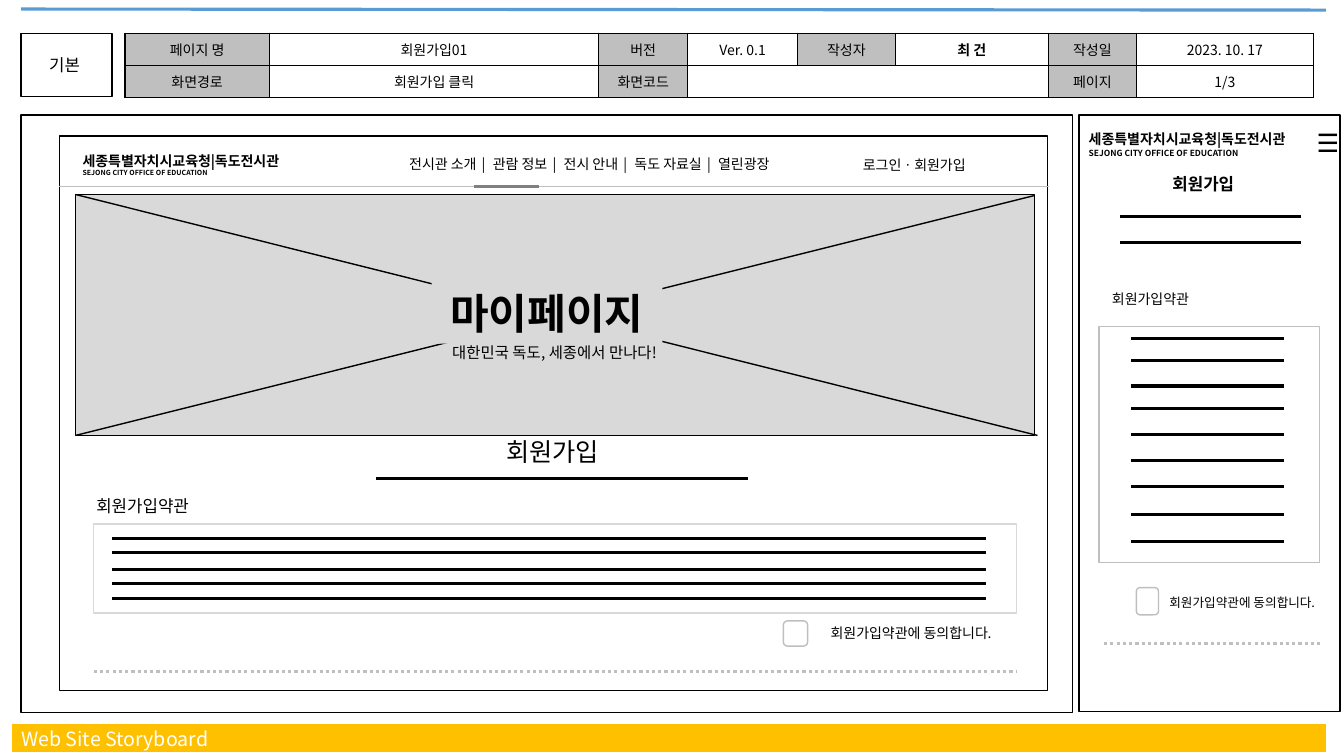
"""Build a web storyboard slide for the sign-up page, desktop and mobile."""
from lxml import etree
from pptx import Presentation
from pptx.dml.color import RGBColor
from pptx.enum.dml import MSO_LINE
from pptx.enum.shapes import MSO_CONNECTOR, MSO_SHAPE
from pptx.enum.text import MSO_ANCHOR, MSO_AUTO_SIZE, PP_ALIGN
from pptx.oxml.ns import qn
from pptx.util import Inches, Pt

RECT, ROUND = MSO_SHAPE.RECTANGLE, MSO_SHAPE.ROUNDED_RECTANGLE
LEFT, CENTER = PP_ALIGN.LEFT, PP_ALIGN.CENTER
MIDDLE, GROW, NO_GROW = MSO_ANCHOR.MIDDLE, MSO_AUTO_SIZE.SHAPE_TO_FIT_TEXT, MSO_AUTO_SIZE.NONE
STRAIGHT, DOT = MSO_CONNECTOR.STRAIGHT, MSO_LINE.ROUND_DOT

THEME = {
    "font": "Noto Sans CJK KR",
    "black": RGBColor(0x00, 0x00, 0x00), "white": RGBColor(0xFF, 0xFF, 0xFF),
    "hero": RGBColor(0xD9, 0xD9, 0xD9), "gray": RGBColor(0xBF, 0xBF, 0xBF),
    "dark": RGBColor(0x80, 0x80, 0x80), "blue": RGBColor(0x5B, 0x9B, 0xD5),
    "gold": RGBColor(0xFF, 0xC0, 0x00),
    "display": 30, "heading": 18, "footer": 14, "section": 12, "lead": 11,
    "body": 10, "small": 9, "mobile_sub": 6, "desktop_sub": 5,
}


def add_run(p, text, size="body", color="black", bold=False):
    r = p.add_run()
    r.text = text
    r.font.size, r.font.bold = Pt(THEME[size]), bold
    r.font.color.rgb = THEME[color]
    r.font.name = THEME["font"]
    etree.SubElement(r._r.get_or_add_rPr(), qn("a:ea"), typeface=THEME["font"])
    return r


def add_box(x, y, w, h, align=LEFT):
    tf = s.shapes.add_textbox(Inches(x), Inches(y), Inches(w), Inches(h)).text_frame
    tf.word_wrap, tf.auto_size = True, GROW
    tf.paragraphs[0].alignment = align
    return tf


prs = Presentation()
prs.slide_width, prs.slide_height = Inches(13.33), Inches(7.5)
s = prs.slides.add_slide(prs.slide_layouts[5])

rects = [
    (RECT, 0.21, 1.14, 10.43, 5.93, "white", "black"),
    (RECT, 0.21, 0.33, 0.9, 0.63, "white", "black"),
    (RECT, 0.59, 1.35, 9.8, 5.5, "white", "black"),
    (RECT, 0.75, 1.93, 9.51, 2.39, "hero", "black"),
    (RECT, 0.93, 5.2, 9.15, 0.88, None, "hero"),
    (ROUND, 7.77, 6.16, 0.24, 0.25, None, "gray"),
    (RECT, 10.7, 1.14, 2.59, 5.92, "white", "black"),
    (RECT, 10.9, 3.24, 2.19, 2.34, None, "gray"),
    (ROUND, 11.27, 5.83, 0.22, 0.27, None, "gray"),
]
for kind, x, y, w, h, fill, line in rects:
    sp = s.shapes.add_shape(kind, Inches(x), Inches(y), Inches(w), Inches(h))
    sp.shadow.inherit = False
    if fill:
        sp.fill.solid()
        sp.fill.fore_color.rgb = THEME[fill]
    else:
        sp.fill.background()
    sp.line.color.rgb, sp.line.width = THEME[line], Pt(1)

lines = [
    (0.21, 0.09, 13.15, 0.1, "blue", 2.25, None),
    (0.12, 7.32, 13.15, 7.32, "gold", 20, None),
    (0.75, 1.93, 10.29, 4.32, "black", 1, None),
    (0.75, 4.32, 10.26, 1.94, "black", 1, None),
    (0.59, 1.85, 10.4, 1.85, "gray", 0.5, None),
    (4.7, 1.85, 5.35, 1.85, "dark", 2.25, None),
    (3.73, 4.75, 7.42, 4.75, "black", 2.25, None),
    (0.93, 6.66, 10.09, 6.66, "gray", 2.25, DOT),
    (10.95, 6.38, 13.12, 6.38, "gray", 2.25, DOT),
]
placeholder_text = [
    (1.11, 9.78, [5.34, 5.48, 5.65, 5.79, 5.94]),
    (11.11, 12.9, [2.15, 2.41]),
    (11.22, 12.74, [3.36, 3.58, 3.83, 4.05, 4.31, 4.57, 4.83, 5.1, 5.37]),
]
for x1, x2, rows in placeholder_text:
    lines += [(x1, y, x2, y, "black", 2.25, None) for y in rows]
for x1, y1, x2, y2, color, width, dash in lines:
    c = s.shapes.add_connector(STRAIGHT, Inches(x1), Inches(y1), Inches(x2), Inches(y2))
    c.line.color.rgb, c.line.width = THEME[color], Pt(width)
    if dash:
        c.line.dash_style = dash
    etree.SubElement(c.element.spPr, qn("a:effectLst"))

col_edges = [1.24, 2.67, 5.94, 6.82, 7.91, 8.88, 10.4, 11.27, 13.03]
header = [
    ["페이지 명", "회원가입01", "버전", "Ver. 0.1", "작성자", "최 건", "작성일", "2023. 10. 17"],
    ["화면경로", "회원가입 클릭", "화면코드", "", "", "", "페이지", "1/3"],
]
table = s.shapes.add_table(2, 8, Inches(1.24), Inches(0.33), Inches(11.79), Inches(0.64)).table
table.first_row = table.horz_banding = False
for col, left, right in zip(table.columns, col_edges, col_edges[1:]):
    col.width = Inches(right - left)
for i, row in enumerate(header):
    table.rows[i].height = Inches(0.32)
    for j, text in enumerate(row):
        cell = table.cell(i, j)
        cell.margin_left = cell.margin_right = cell.margin_top = cell.margin_bottom = 0
        cell.vertical_anchor = MIDDLE
        for side in ("lnL", "lnR", "lnT", "lnB"):
            ln = etree.SubElement(cell._tc.get_or_add_tcPr(), qn(f"a:{side}"), w=str(Pt(1)))
            fill = etree.SubElement(ln, qn("a:solidFill"))
            etree.SubElement(fill, qn("a:srgbClr"), val=str(THEME["black"]))
        cell.fill.solid()
        cell.fill.fore_color.rgb = THEME["gray" if text and j % 2 == 0 else "white"]
        if text:
            p = cell.text_frame.paragraphs[0]
            p.alignment = CENTER
            add_run(p, text, bold=text == "최 건")
table.cell(1, 3).merge(table.cell(1, 5))

banner = s.shapes.add_shape(RECT, Inches(4.28), Inches(2.8), Inches(2.29), Inches(0.61))
banner.shadow.inherit = False
banner.fill.solid()
banner.fill.fore_color.rgb = THEME["hero"]
banner.line.fill.background()
p = banner.text_frame.paragraphs[0]
p.alignment = CENTER
add_run(p, "마이페이지", "display", bold=True)

labels = [
    (0.39, 0.49, 0.54, 0.36, "기본", "section", LEFT),
    (8.46, 1.5, 1.32, 0.27, "로그인ㆍ회원가입", "body", LEFT),
    (4.07, 3.35, 2.86, 0.29, "대한민국 독도, 세종에서 만나다!", "lead", CENTER),
    (4.31, 4.28, 2.34, 0.4, "회원가입", "heading", CENTER),
    (0.76, 4.87, 1.31, 0.3, "회원가입약관", "section", CENTER),
    (8.14, 6.15, 2.26, 0.27, "회원가입약관에 동의합니다.", "body", LEFT),
    (12.96, 1.21, 0.3, 0.44, "☰", "heading", CENTER),
    (10.93, 2.83, 1.39, 0.29, "회원가입약관", "body", LEFT),
    (11.5, 5.85, 1.83, 0.25, "회원가입약관에 동의합니다.", "small", LEFT),
]
for x, y, w, h, text, size, align in labels:
    add_run(add_box(x, y, w, h, align).paragraphs[0], text, size)

for x, y, w, h, sub in [(0.72, 1.46, 2.52, 0.35, "desktop_sub"), (10.7, 1.25, 2.34, 0.4, "mobile_sub")]:
    tf = add_box(x, y, w, h)
    add_run(tf.paragraphs[0], "세종특별자치시교육청|독도전시관", bold=True)
    add_run(tf.add_paragraph(), "SEJONG CITY OFFICE OF EDUCATION", sub, bold=True)

p = add_box(3.62, 1.49, 4.45, 0.27, CENTER).paragraphs[0]
for i, item in enumerate(["전시관 소개", "관람 정보", "전시 안내", "독도 자료실", "열린광장"]):
    if i:
        add_run(p, " | ")._r.get_or_add_rPr().set("spc", "150")
    add_run(p, item)

tf = add_box(10.93, 1.39, 2.01, 0.86, CENTER)
tf.auto_size, tf.vertical_anchor = NO_GROW, MIDDLE
add_run(tf.paragraphs[0], "회원가입", "section", bold=True)

title = s.shapes.title
title.left, title.top, title.width, title.height = Inches(0.11), Inches(7.16), Inches(2.61), Inches(0.34)
title.element.getparent().append(title.element)
tf = title.text_frame
tf.word_wrap, tf.auto_size, tf.vertical_anchor = True, NO_GROW, MIDDLE
p = tf.paragraphs[0]
p.alignment = LEFT
add_run(p, "Web Site Storyboard", "footer", "white")

prs.save("out.pptx")
